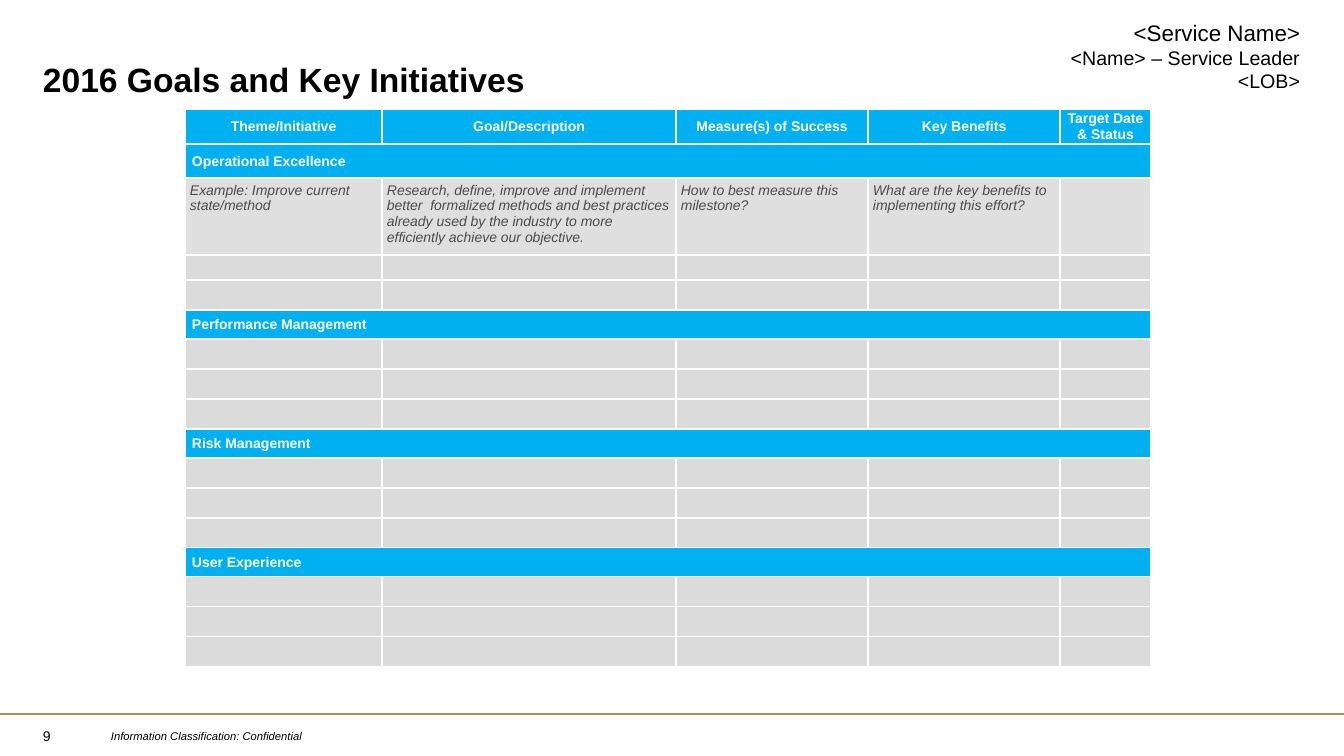
from lxml import etree
from pptx import Presentation
from pptx import util as u
from pptx.dml.color import RGBColor
from pptx.enum import shapes, text
from pptx.oxml import ns

PX = 914400 / 100.8
BLACK = RGBColor(0x00, 0x00, 0x00)
WHITE = RGBColor(0xFF, 0xFF, 0xFF)
BLUE = RGBColor(0x00, 0xB0, 0xF0)
GOLD = RGBColor(0xA2, 0x90, 0x60)
EXAMPLE_GRAY = RGBColor(0xDF, 0xDF, 0xE0)
EMPTY_GRAY = RGBColor(0xDB, 0xDB, 0xDB)
TEXT_GRAY = RGBColor(0x4B, 0x4B, 0x4B)

MIDDLE = text.MSO_ANCHOR.MIDDLE
TOP = text.MSO_ANCHOR.TOP
LEFT, CENTER, RIGHT = text.PP_ALIGN.LEFT, text.PP_ALIGN.CENTER, text.PP_ALIGN.RIGHT

HEADING = {"size": u.Pt(10), "bold": True, "color": WHITE}
EXAMPLE = {"size": u.Pt(10), "italic": True, "color": TEXT_GRAY}


def px(length):
    return u.Emu(round(length * PX))


class SlideBuilder:
    font_name = "Arial"

    def __init__(self, slide):
        self.slide = slide

    def style(self, font, values):
        font.name = self.font_name
        for key, value in values.items():
            if key == "color":
                font.color.rgb = value
            else:
                setattr(font, key, value)

    def text_box(self, box, lines, align=LEFT, anchor=TOP, wrap=True, spacing=None):
        frame = self.slide.shapes.add_textbox(*map(px, box)).text_frame
        frame.word_wrap = wrap
        frame.vertical_anchor = anchor
        for index, (words, values) in enumerate(lines):
            line = frame.add_paragraph() if index else frame.paragraphs[0]
            line.alignment = align
            line.line_spacing = spacing
            run = line.add_run()
            run.text = words
            self.style(run.font, {"color": BLACK, **values})

    def rule(self, x1, y1, x2, y2, color, width):
        rule = self.slide.shapes.add_connector(
            shapes.MSO_CONNECTOR.STRAIGHT, *map(px, (x1, y1, x2, y2)))
        rule.line.color.rgb = color
        rule.line.width = u.Pt(width)
        etree.SubElement(rule._element.spPr, ns.qn("a:effectLst"))

    def table(self, left, top, widths, heights):
        table = self.slide.shapes.add_table(
            len(heights), len(widths),
            *map(px, (left, top, sum(widths), sum(heights)))).table
        table.first_row = table.horz_banding = False
        for column, width in zip(table.columns, widths):
            column.width = px(width)
        for row, height in zip(table.rows, heights):
            row.height = px(height)
        return table

    def cell(self, cell, words, fill, values, margins, align=LEFT, anchor=TOP):
        properties = cell._tc.get_or_add_tcPr()
        for side in ("lnL", "lnR", "lnT", "lnB"):
            border = etree.SubElement(properties, ns.qn("a:" + side), w=str(u.Pt(1.5)))
            solid = etree.SubElement(border, ns.qn("a:solidFill"))
            etree.SubElement(solid, ns.qn("a:srgbClr"), val=str(WHITE))
        cell.fill.solid()
        cell.fill.fore_color.rgb = fill
        cell.vertical_anchor = anchor
        for side, margin in zip(("left", "top", "right", "bottom"), margins):
            setattr(cell, "margin_" + side, px(margin))
        line = cell.text_frame.paragraphs[0]
        line.alignment = align
        if words:
            run = line.add_run()
            run.text = words
            self.style(run.font, values)
        else:
            self.style(line.font, values)


def main():
    deck = Presentation()
    deck.slide_width, deck.slide_height = px(1344), px(756)
    page = SlideBuilder(deck.slides.add_slide(deck.slide_layouts[6]))

    # Footer
    page.text_box((101, 725, 934, 24),
                  [("Information Classification: Confidential",
                    {"size": u.Pt(8), "italic": True})],
                  anchor=MIDDLE, spacing=0.95)
    page.text_box((33, 718, 60, 38), [("9", {"size": u.Pt(10)})],
                  anchor=MIDDLE, wrap=False, spacing=0.95)
    page.rule(0, 714, 1344, 714, GOLD, 2)

    # Service owner and title
    page.text_box((795, 14, 515, 85),
                  [("<Service Name>", {"size": u.Pt(16)}),
                   ("<Name> – Service Leader", {"size": u.Pt(14)}),
                   ("<LOB>", {"size": u.Pt(14)})], align=RIGHT)
    page.text_box((33, 54, 1276, 46),
                  [("2016 Goals and Key Initiatives", {"size": u.Pt(24), "bold": True})])

    # Goals table: a header row, then a heading and three rows per theme
    headers = ["Theme/Initiative", "Goal/Description", "Measure(s) of Success",
               "Key Benefits", "Target Date & Status"]
    examples = [
        "Example: Improve current state/method",
        "Research, define, improve and implement better  formalized methods and best "
        "practices already used by the industry to more efficiently achieve our objective.",
        "How to best measure this milestone?",
        "What are the key benefits to implementing this effort?",
        ""]
    themes = ["Operational Excellence", "Performance Management",
              "Risk Management", "User Experience"]
    goals = page.table(185, 109, [197, 294, 192, 192, 91],
                       [34, 34, 72, 25, 30] + [29, 30, 30, 30] * 3)

    for column, header in enumerate(headers):
        page.cell(goals.cell(0, column), header, BLUE, HEADING, (1, 1, 1, 0),
                  CENTER, MIDDLE)
    for index, theme in enumerate(themes):
        start = 1 + 4 * index
        goals.cell(start, 0).merge(goals.cell(start, 4))
        for column in range(5):
            page.cell(goals.cell(start, column), "" if column else theme, BLUE, HEADING,
                      (7, 1, 1, 0), anchor=MIDDLE)
        for row in range(start + 1, start + 4):
            is_example = row == 2
            for column, example in enumerate(examples):
                page.cell(goals.cell(row, column), example if is_example else "",
                          EXAMPLE_GRAY if is_example else EMPTY_GRAY, EXAMPLE,
                          (5, 5, 5, 5) if is_example else (5, 1, 5, 1))

    deck.save("out.pptx")


if __name__ == "__main__":
    main()
